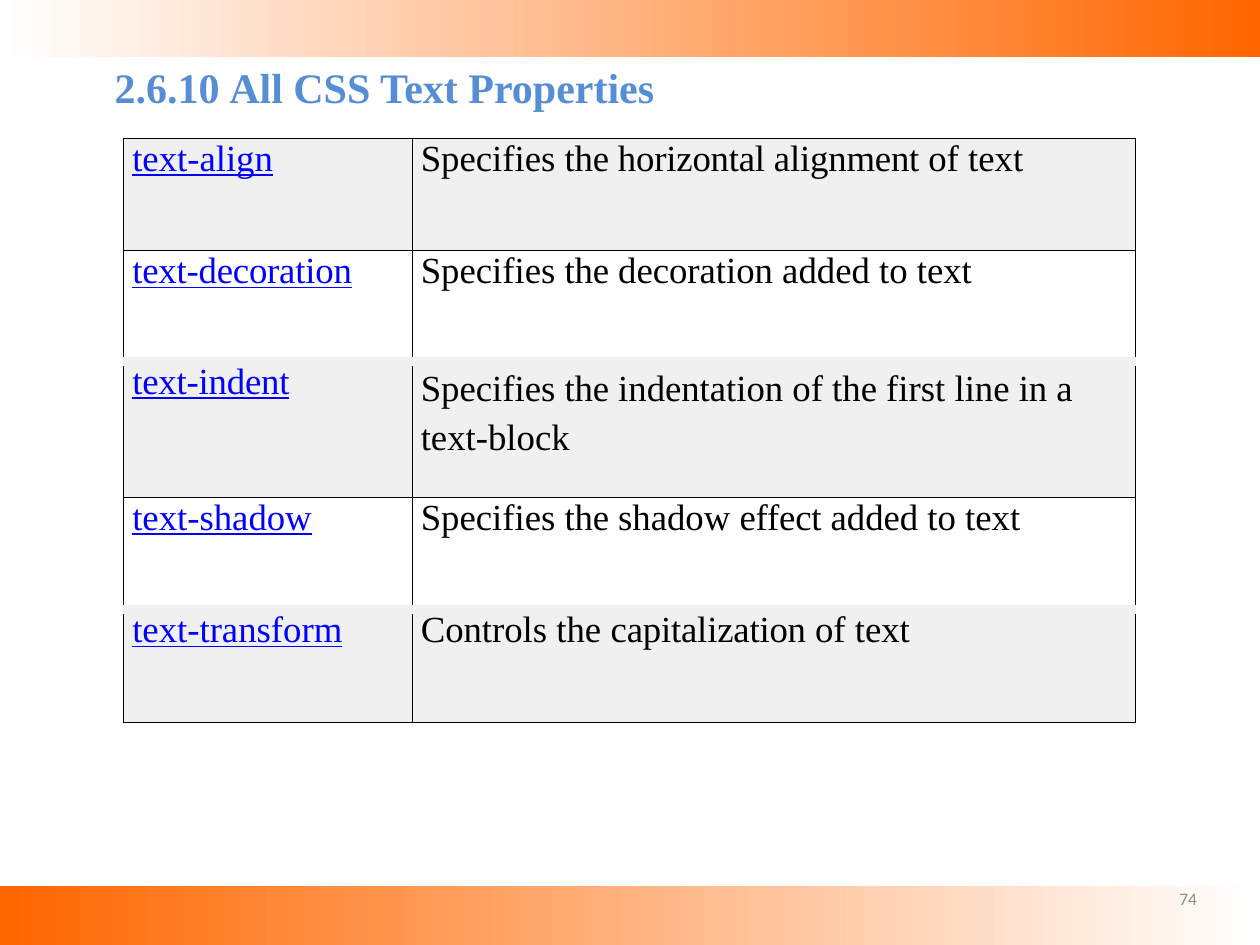
import pptx
import pptx.dml.color
import pptx.enum.shapes
import pptx.enum.text
import pptx.oxml
import pptx.oxml.ns
import pptx.util
from lxml import etree

RGBColor = pptx.dml.color.RGBColor
WHITE = RGBColor(0xFF, 0xFF, 0xFF)
ORANGE = RGBColor(0xFF, 0x66, 0x00)
TITLE_BLUE = RGBColor(0x55, 0x8E, 0xD5)
LINK_BLUE = RGBColor(0x00, 0x00, 0xFF)
BLACK = RGBColor(0x00, 0x00, 0x00)
BAND_GRAY = RGBColor(0xF0, 0xF0, 0xF0)
NUMBER_GRAY = RGBColor(0x8C, 0x8C, 0x8C)

SERIF = "Times New Roman"
SLIDE_WIDTH, SLIDE_HEIGHT = 10, 7.5
COLUMN_WIDTHS = (2.29, 5.74)
ROW_HEIGHTS = (0.89, 0.88, 1.08, 0.89, 0.89)
THIN_BLACK = (BLACK, 0.48)
THICK_GRAY = (BAND_GRAY, 6)
TIGHT = -0.1

# Each cell is a list of runs: text and letter spacing in points.
PROPERTIES = (
    ([("text-align", 0)],
     [("Specifies ", 0), ("the horizontal alignment ", TIGHT), ("of text", 0)]),
    ([("text-decoration", TIGHT)],
     [("Specifies ", 0), ("the ", TIGHT), ("decoration added to text", 0)]),
    ([("text-indent", TIGHT)],
     [("Specifies ", 0), ("the ", TIGHT),
      ("indentation of the first line in a text-block", 0)]),
    ([("text-shadow", 0)],
     [("Specifies ", 0), ("the ", TIGHT), ("shadow ", 0), ("effect ", TIGHT),
      ("added to text", 0)]),
    ([("text-transform", 0)],
     [("Controls the ", 0), ("capitalization ", TIGHT), ("of text", 0)]),
)
TALL_ROW = 2


def share(left, top, width, height):
    """Turn inches into shares of the slide's size."""
    return (left / SLIDE_WIDTH, top / SLIDE_HEIGHT,
            width / SLIDE_WIDTH, height / SLIDE_HEIGHT)


class SlideBuilder:
    def __init__(self, presentation):
        self.width = presentation.slide_width
        self.height = presentation.slide_height
        self.slide = presentation.slides.add_slide(presentation.slide_layouts[5])

    def box(self, left, top, width, height):
        """Turn shares of the slide's size into lengths."""
        return (round(left * self.width), round(top * self.height),
                round(width * self.width), round(height * self.height))

    def add_run(self, paragraph, text, size, color, font=SERIF, bold=False,
                underline=False, spacing=0):
        run = paragraph.add_run()
        run.text = text
        run.font.name = font
        run.font.size = pptx.util.Pt(size)
        run.font.bold = bold
        run.font.underline = underline
        run.font.color.rgb = color
        if spacing:
            run._r.get_or_add_rPr().set("spc", str(round(spacing * 100)))

    def clear_margins(self, frame):
        frame.margin_left = frame.margin_top = frame.margin_right = frame.margin_bottom = 0
        frame.vertical_anchor = pptx.enum.text.MSO_ANCHOR.TOP

    def gradient_band(self, place, flipped=False):
        band = self.slide.shapes.add_shape(
            pptx.enum.shapes.MSO_SHAPE.RECTANGLE, *self.box(*place))
        band.shadow.inherit = False
        band.line.fill.background()
        band.fill.gradient()
        band.fill.gradient_angle = 0
        for stop, color, position in zip(band.fill.gradient_stops, (WHITE, ORANGE), (0, 1)):
            stop.color.rgb = color
            stop.position = position
        if flipped:
            band._element.spPr.find(pptx.oxml.ns.qn("a:xfrm")).set("flipH", "1")

    def title(self, place, number, text):
        title = self.slide.shapes.title
        title.left, title.top, title.width, title.height = self.box(*place)
        frame = title.text_frame
        self.clear_margins(frame)
        frame.auto_size = pptx.enum.text.MSO_AUTO_SIZE.NONE
        paragraph = frame.paragraphs[0]
        paragraph.alignment = pptx.enum.text.PP_ALIGN.LEFT
        properties = paragraph._p.get_or_add_pPr()
        properties.set("marL", str(pptx.util.Inches(0.01)))
        tabs = etree.SubElement(properties, pptx.oxml.ns.qn("a:tabLst"))
        etree.SubElement(tabs, pptx.oxml.ns.qn("a:tab"),
                         pos=str(pptx.util.Inches(0.91)), algn="l")
        self.add_run(paragraph, f"{number}\t{text}", 24, TITLE_BLUE, bold=True)

    def label(self, place, text):
        frame = self.slide.shapes.add_textbox(*self.box(*place)).text_frame
        frame.word_wrap = True
        self.clear_margins(frame)
        self.add_run(frame.paragraphs[0], text, 10, NUMBER_GRAY, font="Calibri")

    def border_cell(self, cell, top, bottom):
        properties = cell._tc.get_or_add_tcPr()
        sides = (("L", THIN_BLACK), ("R", THIN_BLACK), ("T", top), ("B", bottom))
        for index, (side, (color, points)) in enumerate(sides):
            line = etree.Element(pptx.oxml.ns.qn(f"a:ln{side}"),
                                 w=str(pptx.util.Pt(points)))
            fill = etree.SubElement(line, pptx.oxml.ns.qn("a:solidFill"))
            etree.SubElement(fill, pptx.oxml.ns.qn("a:srgbClr"), val=str(color))
            properties.insert(index, line)

    def table_cell(self, cell, runs, color, underline):
        self.clear_margins(cell)
        paragraph = cell.text_frame.paragraphs[0]
        paragraph._p.get_or_add_pPr().set("marL", str(pptx.util.Inches(0.07)))
        for text, spacing in runs:
            self.add_run(paragraph, text, 21, color, underline=underline, spacing=spacing)
        return paragraph

    def property_table(self, place, rows):
        table = self.slide.shapes.add_table(
            len(rows), len(COLUMN_WIDTHS), *self.box(*place)).table
        table.first_row = table.horz_banding = False
        for column, width in zip(table.columns, COLUMN_WIDTHS):
            column.width = pptx.util.Inches(width)
        for index, (name, description) in enumerate(rows):
            row = table.rows[index]
            row.height = pptx.util.Inches(ROW_HEIGHTS[index])
            shaded = index % 2 == 0
            top = THICK_GRAY if shaded and index > 0 else THIN_BLACK
            bottom = THIN_BLACK if shaded else THICK_GRAY
            for cell in row.cells:
                if shaded:
                    cell.fill.solid()
                    cell.fill.fore_color.rgb = BAND_GRAY
                else:
                    cell.fill.background()
                self.border_cell(cell, top, bottom)
            self.table_cell(row.cells[0], name, LINK_BLUE, True)
            paragraph = self.table_cell(row.cells[1], description, BLACK, False)
            if index == TALL_ROW:
                paragraph.line_spacing = pptx.util.Pt(27.6)


def main():
    presentation = pptx.Presentation()
    presentation.slide_width = pptx.util.Inches(SLIDE_WIDTH)
    presentation.slide_height = pptx.util.Inches(SLIDE_HEIGHT)

    builder = SlideBuilder(presentation)
    builder.gradient_band(share(0.02, -0.06, 9.99, 0.51))
    builder.gradient_band(share(0, 7.03, 10, 0.47), flipped=True)
    builder.property_table(
        share(0.98, 1.1, sum(COLUMN_WIDTHS), sum(ROW_HEIGHTS)), PROPERTIES)
    builder.label(share(9.36, 7.05, 0.63, 0.14), "74")
    builder.title(share(0.9, 0.49, 4.77, 0.4), "2.6.10", "All CSS Text Properties")
    presentation.save("out.pptx")


if __name__ == "__main__":
    main()
